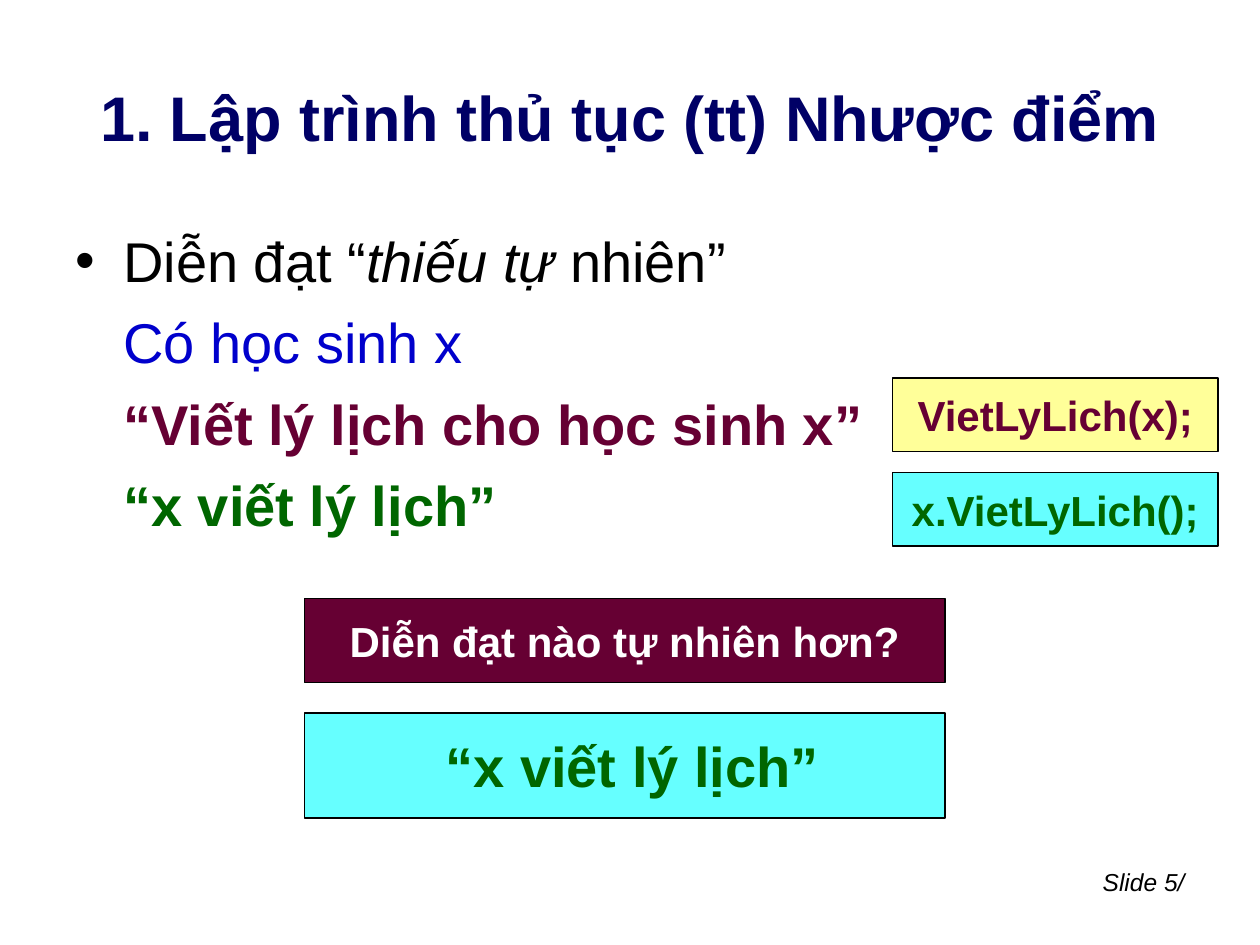
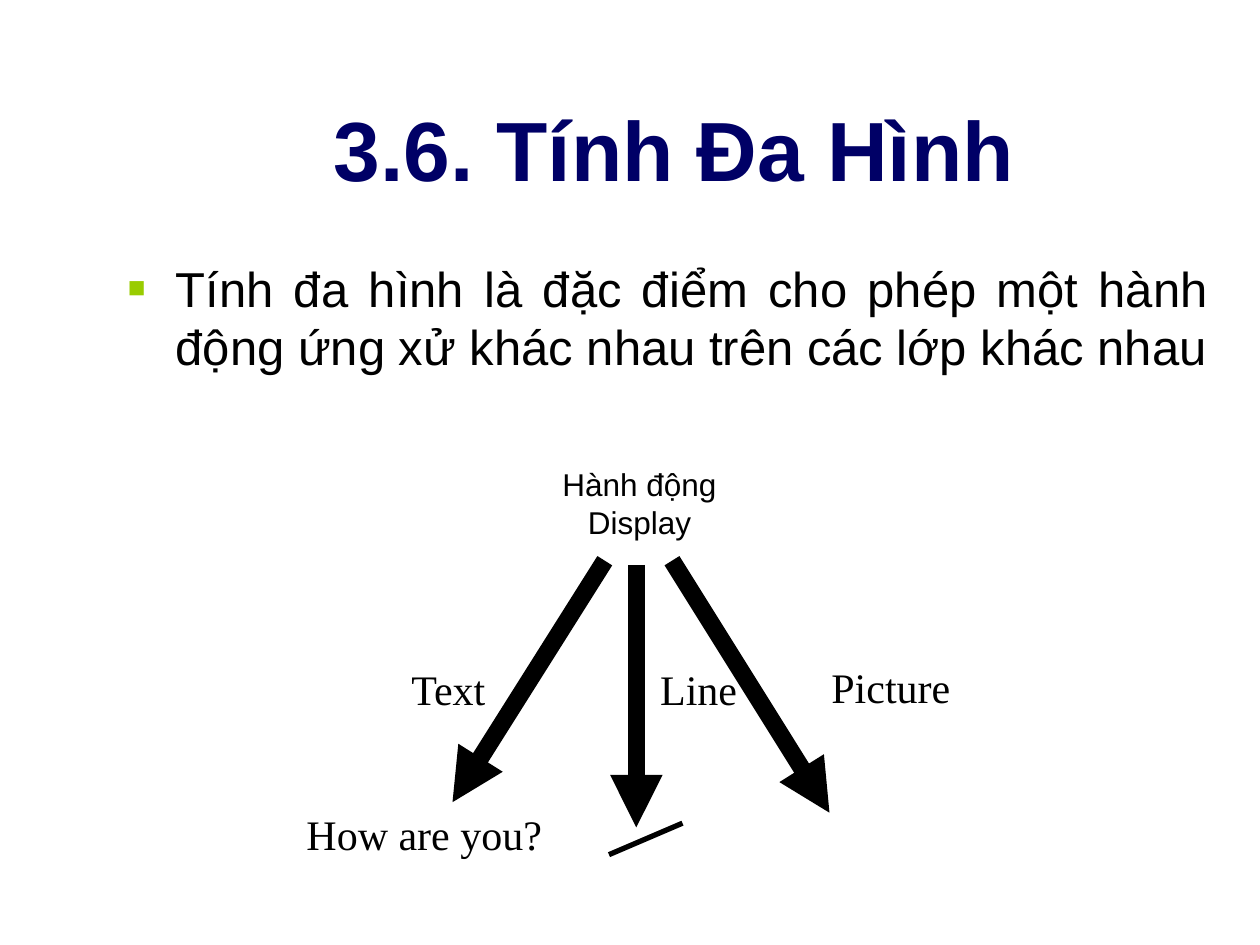
import collections

import lxml.etree
import pptx
import pptx.dml.color
import pptx.enum.shapes
import pptx.enum.text
import pptx.oxml.ns
import pptx.util

COLOURS = {
    "navy": "000066",
    "black": "000000",
    "white": "FFFFFF",
    "blue": "0000CC",
    "wine": "660033",
    "green": "006600",
    "lime": "99CC00",
    "cyan": "66FFFF",
    "yellow": "FFFF99",
}
SANS, SERIF = "Arial", "Times New Roman"
HANG = 0.38
COLUMNS, ROWS = 120, 90
CELL = pptx.util.Inches(10) // COLUMNS

ALIGN = pptx.enum.text.PP_ALIGN
MIDDLE = pptx.enum.text.MSO_ANCHOR.MIDDLE
TOP = pptx.enum.text.MSO_ANCHOR.TOP


class Box(collections.namedtuple("Box", "left top width height")):
    """A rectangle measured in grid columns and rows."""

    def inside(self, left, top, width, height):
        return Box(self.left + left, self.top + top, width, height)

    def point(self, column, row):
        return cells(self.left + column), cells(self.top + row)

    def lengths(self):
        return [cells(value) for value in self]


def cells(count):
    return pptx.util.Emu(round(count * CELL))


def rgb(name):
    return pptx.dml.color.RGBColor.from_string(COLOURS[name])


def add_child(parent, tag, **attributes):
    child = lxml.etree.SubElement(parent, pptx.oxml.ns.qn(tag))
    for name, value in attributes.items():
        child.set(name, str(value))
    return child


def write(frame, text, new=False, size=24, font=SANS, colour="black", bold=False,
          italic=False, align=ALIGN.LEFT, before=0, hang=0, bullet=None,
          bullet_colour="black", bullet_size=100):
    """Write one paragraph; text is a string or a list of (string, italic) spans."""
    para = frame.add_paragraph() if new else frame.paragraphs[0]
    para.alignment = align
    para.space_before = pptx.util.Pt(before)
    spans = [(text, italic)] if isinstance(text, str) else text
    for words, slanted in spans:
        span = para.add_run()
        span.text = words
        span.font.size = pptx.util.Pt(size)
        span.font.name = font
        span.font.bold = bold
        span.font.italic = slanted
        span.font.color.rgb = rgb(colour)
    properties = para._p.get_or_add_pPr()
    if hang:
        margin = pptx.util.Inches(hang)
        properties.set("marL", str(margin))
        properties.set("indent", str(-margin if bullet else 0))
    if bullet:
        add_child(add_child(properties, "a:buClr"), "a:srgbClr", val=COLOURS[bullet_colour])
        add_child(properties, "a:buSzPct", val=bullet_size * 1000)
        add_child(properties, "a:buFont", typeface=SANS)
        add_child(properties, "a:buChar", char=bullet)


def add_text(page, box, text=None, anchor=TOP, grow=False, **style):
    frame = page.shapes.add_textbox(*box.lengths()).text_frame
    frame.word_wrap = True
    frame.vertical_anchor = anchor
    if grow:
        frame.auto_size = pptx.enum.text.MSO_AUTO_SIZE.SHAPE_TO_FIT_TEXT
    if text:
        write(frame, text, **style)
    return frame


def add_panel(page, box, text, fill, **style):
    panel = page.shapes.add_shape(pptx.enum.shapes.MSO_SHAPE.RECTANGLE, *box.lengths())
    panel.shadow.inherit = False
    panel.fill.solid()
    panel.fill.fore_color.rgb = rgb(fill)
    panel.line.color.rgb = rgb("black")
    panel.line.width = pptx.util.Pt(0.75)
    frame = panel.text_frame
    frame.word_wrap = False
    frame.vertical_anchor = MIDDLE
    write(frame, text, bold=True, align=ALIGN.CENTER, **style)
    return frame


def add_line(page, start, end, width, arrow=False):
    line = page.shapes.add_connector(
        pptx.enum.shapes.MSO_CONNECTOR.STRAIGHT, *start, *end)
    line.line.color.rgb = rgb("black")
    line.line.width = pptx.util.Pt(width)
    if arrow:
        add_child(line.line._get_or_add_ln(), "a:tailEnd", type="triangle")
    add_child(line._element.spPr, "a:effectLst")


def add_title(page, box, text, size):
    add_text(page, box, text, anchor=MIDDLE, size=size, colour="navy",
             bold=True, align=ALIGN.CENTER)


def add_footer(page, box, text):
    add_text(page, box, text, size=14, italic=True, align=ALIGN.RIGHT)


# Regions of the procedural programming slide
def add_statements(page, box):
    frame = add_text(page, box)
    style = {"size": 32, "before": 8, "hang": HANG}
    write(frame, [("Diễn đạt “", False), ("thiếu tự ", True), ("nhiên”", False)],
          bullet="•", **style)
    for text, colour, bold in [
        ("Có học sinh x", "blue", False),
        ("“Viết lý lịch cho học sinh x”", "wine", True),
        ("“x viết lý lịch”", "green", True),
    ]:
        write(frame, text, new=True, colour=colour, bold=bold, **style)


def add_calls(page, box):
    calls = [("VietLyLich(x);", "yellow", "wine"), ("x.VietLyLich();", "cyan", "green")]
    for index, (text, fill, colour) in enumerate(calls):
        add_panel(page, box.inside(0, 9 * index, box.width, 7), text, fill, colour=colour)


def add_question(page, box):
    add_panel(page, box.inside(0, 0, box.width, 8),
              "Diễn đạt nào tự nhiên hơn?", "wine", colour="white")
    answer = add_panel(page, box.inside(0, 10.9, box.width, 10), "“x viết lý lịch”",
                       "cyan", colour="green", size=32, before=8)
    answer.margin_left = pptx.util.Inches(0.22)


# Regions of the polymorphism slide
def add_definition(page, box):
    add_text(page, box,
             "Tính đa hình là đặc điểm cho phép một hành động ứng xử khác nhau "
             "trên các lớp khác nhau",
             size=28, align=ALIGN.JUSTIFY, before=7, hang=HANG,
             bullet="■", bullet_colour="lime", bullet_size=60)


def add_display_diagram(page, box):
    # Action and the arrows to its three forms
    add_text(page, box.inside(19.4, 0, 27, 9.4), "Hành động Display",
             anchor=MIDDLE, size=18, align=ALIGN.CENTER)
    for start, end in [
        ((32.6, 10.6), (32.6, 35.6)),
        ((29.6, 10.2), (15.1, 33.2)),
        ((36, 10.2), (51, 34.2)),
    ]:
        add_line(page, box.point(*start), box.point(*end), 10, arrow=True)

    # Sample line drawn by the middle form
    add_line(page, box.point(30, 38.2), box.point(37, 35.2), 3)

    # Labels
    for text, left, top, width in [
        ("Text", 10, 19.4, 11),
        ("Line", 33.7, 19.4, 12),
        ("Picture", 50, 19.2, 16),
        ("How are you?", 0, 33.2, 28),
    ]:
        add_text(page, box.inside(left, top, width, 6), text,
                 grow=True, font=SERIF, before=15)


def build_procedural(page, box):
    add_footer(page, box.inside(86, 82, 28, 6.2), "Slide 5/")
    add_title(page, box.inside(6, 3.6, 108, 15), "1. Lập trình thủ tục (tt) Nhược điểm", 36)
    add_statements(page, box.inside(6, 21, 108, 32))
    add_question(page, box.inside(29, 57, 61, 20.9))
    add_calls(page, box.inside(85, 36, 31, 16))


def build_polymorphism(page, box):
    add_title(page, box.inside(13.1, 6.6, 102.2, 15), "3.6. Tính Đa Hình", 48)
    add_display_diagram(page, box.inside(28, 43.2, 66, 39.2))
    add_definition(page, box.inside(11, 24, 105.2, 17))


def main():
    deck = pptx.Presentation()
    deck.slide_width = cells(COLUMNS)
    deck.slide_height = cells(ROWS)
    for build in (build_procedural, build_polymorphism):
        page = deck.slides.add_slide(deck.slide_layouts[6])
        build(page, Box(0, 0, COLUMNS, ROWS))
    deck.save("out.pptx")


if __name__ == "__main__":
    main()
